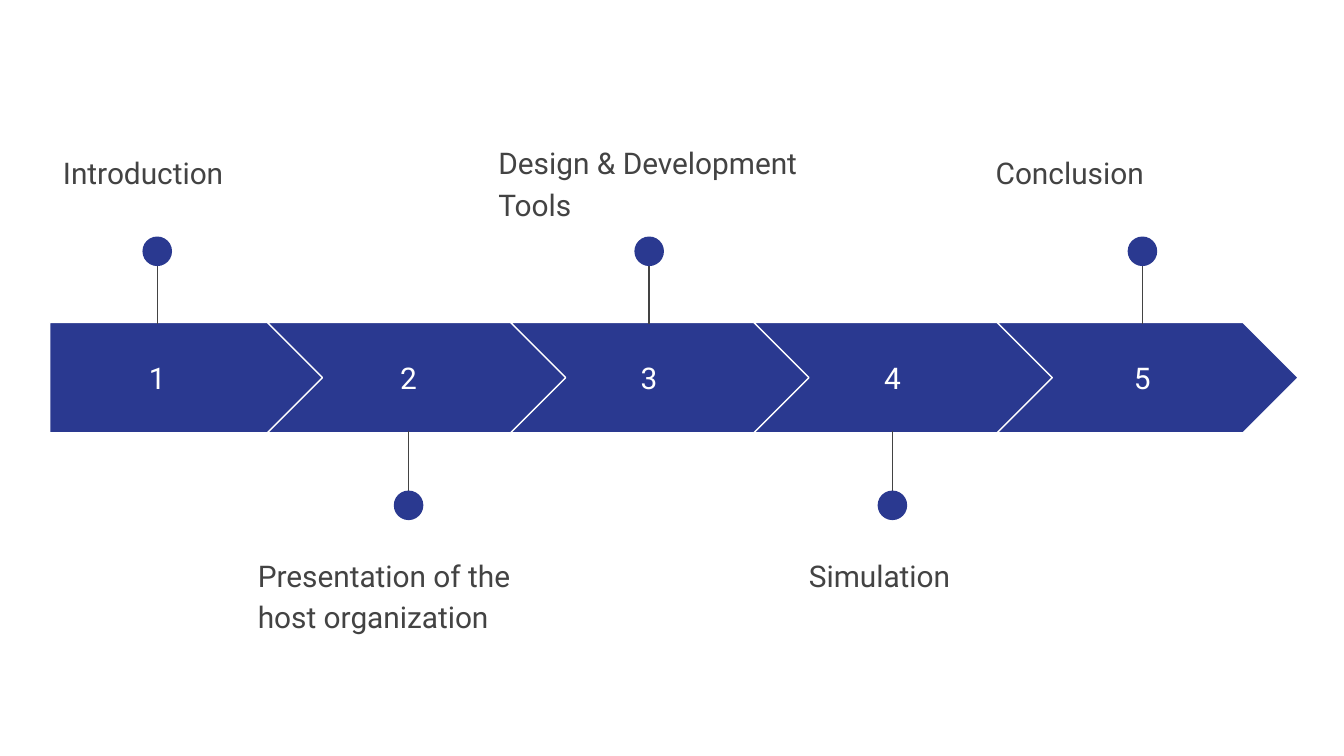
from dataclasses import dataclass

import pptx
import pptx.dml.color
import pptx.enum.shapes
import pptx.enum.text
import pptx.oxml.ns
import pptx.util
from lxml import etree
from pptx.util import Inches

SHAPE = pptx.enum.shapes.MSO_SHAPE
ALIGN = pptx.enum.text.PP_ALIGN
ANCHOR = pptx.enum.text.MSO_ANCHOR

BLUE, GRAY, WHITE = "2A3990", "434343", "FFFFFF"
SLIDE_W = 10
SLIDE_H = SLIDE_W * 9 / 16
BAR_LEFT, BAR_TOP, BAR_H = 0.37, 2.4, 0.82
FIRST_W, CHEVRON_W = 2.05, 2.24
CHEVRON_LEFT, CHEVRON_STEP = 1.99, 1.81
NUMBER_W, NUMBER_H = 1.44, 0.51
LABEL_W, LABEL_H = 2.45, 0.99
DOT = 0.22


@dataclass
class Step:
    label: str
    pin_x: float
    label_left: float
    label_top: float
    above: bool


STEPS = [
    Step("Introduction", 1.17, 0.37, 1.01, True),
    Step("Presentation of the host organization", 3.04, 1.82, 4.01, False),
    Step("Design & Development Tools", 4.83, 3.61, 0.94, True),
    Step("Simulation", 6.64, 5.92, 4.01, False),
    Step("Conclusion", 8.5, 7.31, 1.01, True),
]


def rgb(color: str) -> pptx.dml.color.RGBColor:
    return pptx.dml.color.RGBColor.from_string(color)


def add_text(s, text: str, left: float, top: float, width: float, height: float,
             color: str):
    """Add a one-run text box and return its text frame."""
    tf = s.shapes.add_textbox(*map(Inches, (left, top, width, height))).text_frame
    tf.word_wrap = True
    tf.margin_left = tf.margin_right = Inches(0.1)
    tf.margin_top = tf.margin_bottom = Inches(0.1)
    r = tf.paragraphs[0].add_run()
    r.text = text
    r.font.name = "Roboto"
    r.font.size = pptx.util.Pt(16)
    r.font.color.rgb = rgb(color)
    return tf


def add_arrow(s, index: int) -> None:
    if index == 0:
        kind, left, width = SHAPE.PENTAGON, BAR_LEFT, FIRST_W
    else:
        kind, width = SHAPE.CHEVRON, CHEVRON_W
        left = CHEVRON_LEFT + (index - 1) * CHEVRON_STEP
    sp = s.shapes.add_shape(kind, *map(Inches, (left, BAR_TOP, width, BAR_H)))
    sp.shadow.inherit = False
    sp.adjustments[0] = 0.5
    sp.fill.solid()
    sp.fill.fore_color.rgb = rgb(BLUE)
    sp.line.color.rgb = rgb(WHITE)
    sp.line.width = pptx.util.Pt(0.75)


def add_number(s, number: int, center_x: float) -> None:
    top = BAR_TOP + (BAR_H - NUMBER_H) / 2
    tf = add_text(s, str(number), center_x - NUMBER_W / 2, top,
                  NUMBER_W, NUMBER_H, WHITE)
    tf.vertical_anchor = ANCHOR.MIDDLE
    tf.paragraphs[0].alignment = ALIGN.CENTER


def add_pin(s, step: Step) -> None:
    """Group a stem and its dot, above or below the bar."""
    if step.above:
        stem_start, stem_end, dot_top = 1.8, 2.41, 1.76
    else:
        stem_start, stem_end, dot_top = 3.82, 3.21, 3.65
    group = s.shapes.add_group_shape()
    stem = group.shapes.add_connector(
        pptx.enum.shapes.MSO_CONNECTOR.STRAIGHT,
        *map(Inches, (step.pin_x, stem_start, step.pin_x, stem_end)))
    stem.line.color.rgb = rgb(GRAY)
    stem.line.width = pptx.util.Pt(0.75)
    etree.SubElement(stem._element.spPr, pptx.oxml.ns.qn("a:effectLst"))
    dot = group.shapes.add_shape(
        SHAPE.OVAL, *map(Inches, (step.pin_x - DOT / 2, dot_top, DOT, DOT)))
    dot.shadow.inherit = False
    dot.fill.solid()
    dot.fill.fore_color.rgb = rgb(BLUE)
    dot.line.fill.background()


def add_label(s, step: Step) -> None:
    tf = add_text(s, step.label, step.label_left, step.label_top,
                  LABEL_W, LABEL_H, GRAY)
    p = tf.paragraphs[0]
    p.line_spacing = 1.15
    p.space_after = pptx.util.Pt(16)


def main() -> None:
    prs = pptx.Presentation()
    prs.slide_width, prs.slide_height = Inches(SLIDE_W), Inches(SLIDE_H)
    s = prs.slides.add_slide(prs.slide_layouts[6])
    for index, step in enumerate(STEPS):
        add_arrow(s, index)
        add_number(s, index + 1, step.pin_x)
        add_pin(s, step)
        add_label(s, step)
    prs.save("out.pptx")


if __name__ == "__main__":
    main()
